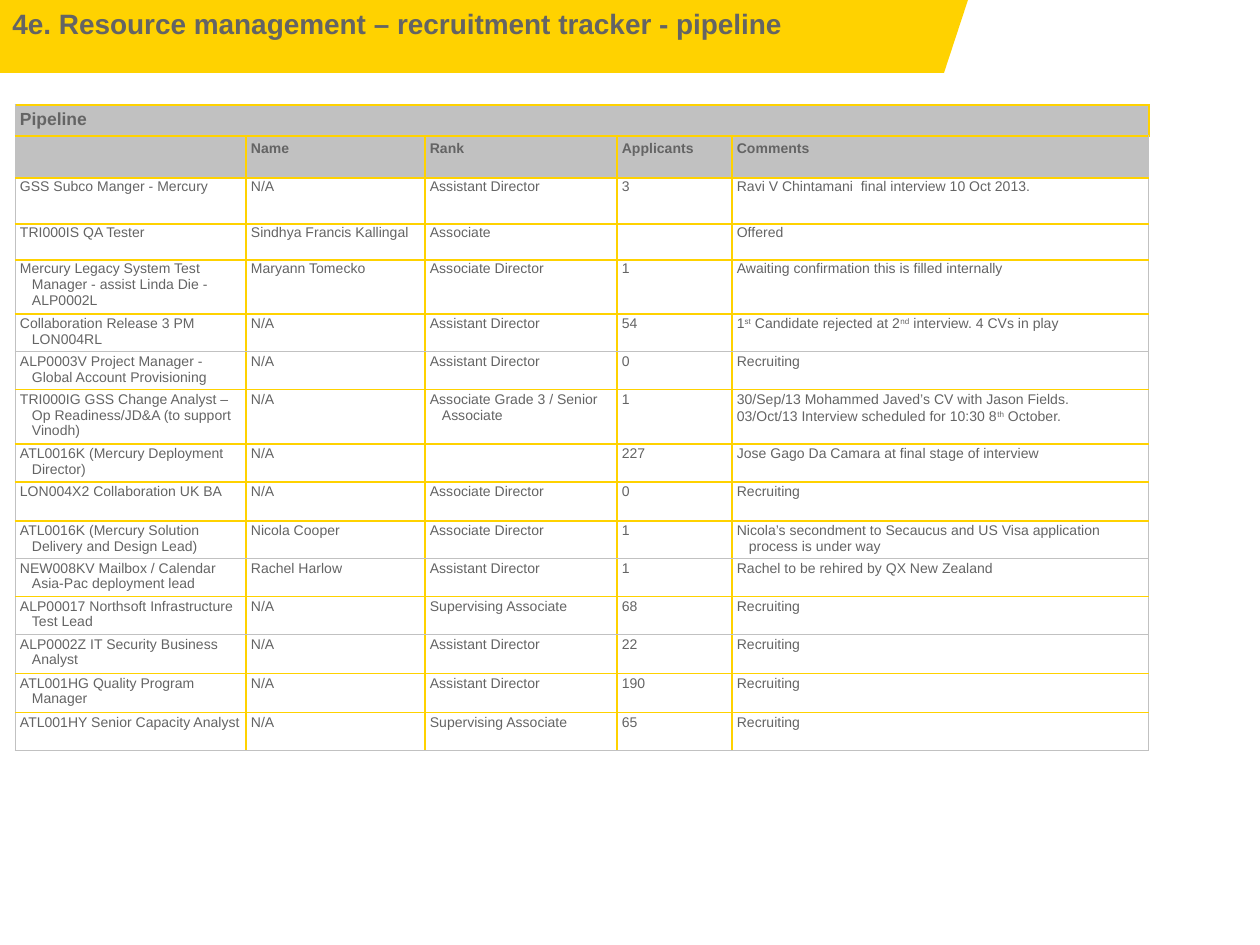
"""Build the recruitment pipeline tracker slide."""
from dataclasses import dataclass

from lxml.etree import SubElement
from pptx import Presentation
from pptx.dml.color import RGBColor
from pptx.oxml.ns import qn
from pptx.util import Pt


@dataclass(frozen=True)
class Theme:
    yellow: str = "FFD200"
    ink: str = "646464"
    grey: str = "C1C1C1"
    white: str = "FFFFFF"
    face: str = "Arial"
    title: int = 16
    section: int = 10
    body: int = 8


THEME = Theme()
SLIDE_WIDTH, SLIDE_HEIGHT = 1260, 945
BANNER = [(968, 0), (944, 73), (0, 73), (0, 0)]
TABLE_LEFT, TABLE_TOP = 15, 105
COLUMN_WIDTHS = [231, 179, 192, 115, 417]
ROW_HEIGHTS = [31, 42, 46, 36, 54, 37, 38, 54, 38, 39, 37, 38, 38, 39, 39, 38]
GREY_RULES = {6, 11, 13, len(ROW_HEIGHTS)}
GREY_EDGES = {0, len(COLUMN_WIDTHS)}
INSET, HANG = 5, 12
PIPELINE = [
    ["Pipeline", "", "", "", ""],
    ["", "Name", "Rank", "Applicants", "Comments"],
    ["GSS Subco Manger - Mercury", "N/A", "Assistant Director", "3",
     "Ravi V Chintamani  final interview 10 Oct 2013."],
    ["TRI000IS QA Tester", "Sindhya Francis Kallingal", "Associate", "", "Offered"],
    ["Mercury Legacy System Test Manager - assist Linda Die - ALP0002L", "Maryann Tomecko",
     "Associate Director", "1", "Awaiting confirmation this is filled internally"],
    ["Collaboration Release 3 PM LON004RL", "N/A", "Assistant Director", "54",
     "1^st^ Candidate rejected at 2^nd^ interview. 4 CVs in play"],
    ["ALP0003V Project Manager - Global Account Provisioning", "N/A", "Assistant Director",
     "0", "Recruiting"],
    ["TRI000IG GSS Change Analyst – Op Readiness/JD&A (to support Vinodh)", "N/A",
     "Associate Grade 3 / Senior Associate", "1",
     "30/Sep/13 Mohammed Javed’s CV with Jason Fields.\n"
     "03/Oct/13 Interview scheduled for 10:30 8^th^ October."],
    ["ATL0016K (Mercury Deployment Director)", "N/A", "", "227",
     "Jose Gago Da Camara at final stage of interview"],
    ["LON004X2 Collaboration UK BA", "N/A", "Associate Director", "0", "Recruiting"],
    ["ATL0016K (Mercury Solution Delivery and Design Lead)", "Nicola Cooper",
     "Associate Director", "1",
     "Nicola’s secondment to Secaucus and US Visa application process is under way"],
    ["NEW008KV Mailbox / Calendar Asia-Pac deployment lead", "Rachel Harlow",
     "Assistant Director", "1", "Rachel to be rehired by QX New Zealand"],
    ["ALP00017 Northsoft Infrastructure Test Lead", "N/A", "Supervising Associate", "68",
     "Recruiting"],
    ["ALP0002Z IT Security Business Analyst", "N/A", "Assistant Director", "22", "Recruiting"],
    ["ATL001HG Quality Program Manager", "N/A", "Assistant Director", "190", "Recruiting"],
    ["ATL001HY Senior Capacity Analyst", "N/A", "Supervising Associate", "65", "Recruiting"],
]


def px(length):
    return round(length * 914400 / 126)


def style(paragraph, size, bold):
    font = paragraph.font
    font.name, font.size, font.bold = THEME.face, Pt(size), bold
    font.color.rgb = RGBColor.from_string(THEME.ink)


deck = Presentation()
deck.slide_width, deck.slide_height = px(SLIDE_WIDTH), px(SLIDE_HEIGHT)
slide = deck.slides.add_slide(deck.slide_layouts[6])

outline = slide.shapes.build_freeform(px(BANNER[0][0]), px(BANNER[0][1]), scale=1)
outline.add_line_segments([(px(x), px(y)) for x, y in BANNER[1:]], close=True)
banner = outline.convert_to_shape()
banner.shadow.inherit = False
banner.fill.solid()
banner.fill.fore_color.rgb = RGBColor.from_string(THEME.yellow)
banner.line.fill.background()

heading = slide.shapes.add_textbox(0, 0, px(1065), px(136)).text_frame
heading.word_wrap = True
heading.text = "4e. Resource management – recruitment tracker - pipeline"
style(heading.paragraphs[0], THEME.title, True)

tracker = slide.shapes.add_table(
    len(ROW_HEIGHTS), len(COLUMN_WIDTHS), px(TABLE_LEFT), px(TABLE_TOP),
    px(sum(COLUMN_WIDTHS)), px(sum(ROW_HEIGHTS))).table
tracker.first_row = tracker.horz_banding = False
for column, width in zip(tracker.columns, COLUMN_WIDTHS):
    column.width = px(width)
for row, height in zip(tracker.rows, ROW_HEIGHTS):
    row.height = px(height)
tracker.cell(0, 0).merge(tracker.cell(0, len(COLUMN_WIDTHS) - 1))

for r, entries in enumerate(PIPELINE):
    is_header = r < 2
    size = THEME.section if r == 0 else THEME.body
    for c, entry in enumerate(entries):
        cell = tracker.cell(r, c)
        cell.margin_left = cell.margin_right = px(INSET)
        cell.margin_top = cell.margin_bottom = px(INSET if is_header else 1 if r < 5 else 2)
        sides = {"L": c in GREY_EDGES, "R": c + 1 in GREY_EDGES,
                 "T": r in GREY_RULES, "B": r + 1 in GREY_RULES}
        for side, is_grey in sides.items():
            border = SubElement(cell._tc.get_or_add_tcPr(), qn(f"a:ln{side}"),
                                w=str(Pt(0.5 if is_grey else 1)))
            paint = SubElement(border, qn("a:solidFill"))
            SubElement(paint, qn("a:srgbClr"), val=THEME.grey if is_grey else THEME.yellow)
        cell.fill.solid()
        cell.fill.fore_color.rgb = RGBColor.from_string(THEME.grey if is_header else THEME.white)
        for n, line in enumerate(entry.split("\n")):
            frame = cell.text_frame
            paragraph = frame.add_paragraph() if n else frame.paragraphs[0]
            indents = paragraph._p.get_or_add_pPr()
            indents.set("marL", str(px(HANG)))
            indents.set("indent", str(-px(HANG)))
            paragraph.space_after = Pt(size / 10)
            style(paragraph, size, is_header)
            for part, words in enumerate(line.split("^") if line else []):
                run = paragraph.add_run()
                run.text = words
                if part % 2:
                    run._r.get_or_add_rPr().set("baseline", "30000")

deck.save("out.pptx")
